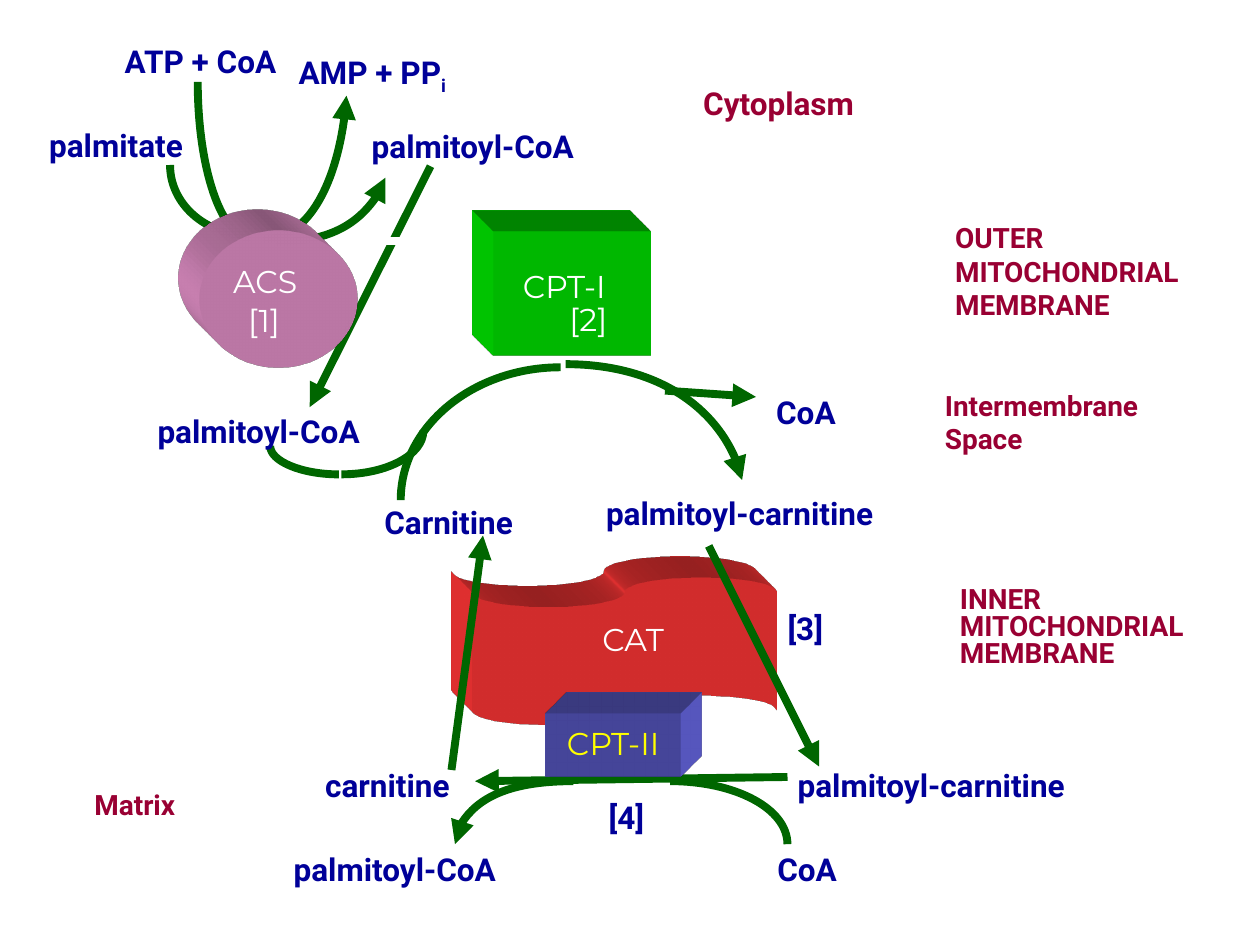
from dataclasses import dataclass

from lxml import etree
from pptx import Presentation
from pptx import util as u
from pptx.dml import color
from pptx.enum import shapes, text
from pptx.oxml import ns, parse_xml

Point = tuple[float, float]
NAVY, MAROON, GREEN, WHITE = "000099", "990033", "006600", "FFFFFF"
LINE_WIDTH = 4.5


@dataclass
class Label:
    text: str
    left: float
    top: float
    width: float
    color: str = NAVY
    size: float = 18
    font: str = "Roboto"
    bold: bool = True
    height: float = 21.6
    spacing: float = 1.0
    subscript: str = ""


@dataclass
class Straight:
    start: Point
    end: Point
    color: str = GREEN
    arrow: bool = True


@dataclass
class Curve:
    """Cubic curve: start, two controls, end; an arrow points at the end."""
    points: list[Point]
    arrow: bool = False


@dataclass
class Solid:
    preset: shapes.MSO_SHAPE
    left: float
    top: float
    width: float
    height: float
    color: str
    camera: str = "legacyObliqueTopLeft"


def enzyme_label(name: str, left: float, top: float, width: float,
                 hex_color: str = WHITE) -> Label:
    return Label(name, left, top, width, hex_color, font="Montserrat", bold=False)


def region_label(name: str, left: float, top: float, width: float,
                 height: float, spacing: float = 1.0) -> Label:
    return Label(name, left, top, width, MAROON, 16, height=height, spacing=spacing)


CARRIER = Solid(shapes.MSO_SHAPE.FLOWCHART_PUNCHED_TAPE, 270, 330, 174, 84, "FF3737")
ENZYMES = [
    Solid(shapes.MSO_SHAPE.RECTANGLE, 282, 132, 90, 71, "00E000"),
    Solid(shapes.MSO_SHAPE.OVAL, 114, 132, 90, 78, "E391C8"),
    Solid(shapes.MSO_SHAPE.RECTANGLE, 312, 408, 77, 36, "6262D8", "legacyObliqueTopRight"),
]

STRAIGHTS = [
    Straight((246, 95), (177, 232.6)),
    Straight((102, 137.5), (525.6, 137.5), WHITE, False),  # outer membrane edge
    Straight((380, 223.2), (432, 226.8)),
    Straight((258, 440), (276, 306)),
    Straight((405, 312), (468, 438)),
    Straight((450, 444), (271.5, 446.4)),
]

CURVES = [
    # CPT-I reaction
    Curve([(323.3, 208.1), (373, 208.1), (416.2, 236.2), (424.1, 274.3)], True),
    Curve([(229, 285.8), (229, 244.1), (270, 209.9), (320.4, 209.9)]),
    Curve([(241.9, 246.2), (241.9, 260), (221, 271.1), (195.1, 271.1)]),
    Curve([(193.7, 271.1), (172.1, 271.1), (154.4, 263.5), (154.4, 254.9)]),
    # ACS reaction
    Curve([(157.7, 138.2), (188, 138.2), (213.8, 123.1), (220.3, 101.5)], True),
    Curve([(150.5, 136.8), (175, 136.8), (195.1, 101.5), (198, 54.7)], True),
    Curve([(143.3, 134.6), (117.4, 134.6), (97.2, 116.6), (97.2, 94.3)]),
    Curve([(143.3, 136.1), (126.7, 136.1), (113, 96.5), (113, 46.8)]),
    # CPT-II reaction
    Curve([(383, 446.4), (420.5, 446.4), (450, 462.2), (450, 482.4)]),
    Curve([(327.6, 446.4), (290.2, 446.4), (260, 462.2), (260, 482.4)], True),
]

LABELS = [
    # Compartments
    region_label("Intermembrane\nSpace", 540, 221.8, 116, 38.4),
    region_label("OUTER\nMITOCHONDRIAL\nMEMBRANE", 545.8, 126, 136, 57.6),
    region_label("INNER\nMITOCHONDRIAL\nMEMBRANE", 548.6, 336.2, 136, 46, 0.8),
    region_label("Matrix", 54, 450, 47.5, 19.2),
    Label("Cytoplasm", 401.8, 48.2, 92.2, MAROON),
    # Metabolites
    Label("ATP + CoA", 71.3, 23.8, 93.6),
    Label("AMP + PP", 170.6, 30.2, 87.8, subscript="i"),
    Label("palmitate", 28.1, 72, 79.9),
    Label("palmitoyl-CoA", 212.4, 72.7, 121.7),
    Label("palmitoyl-CoA", 90, 235.4, 121.7),
    Label("palmitoyl-CoA", 167.8, 486, 121.7),
    Label("palmitoyl-carnitine", 346.3, 282.2, 159.8),
    Label("palmitoyl-carnitine", 455.8, 437.8, 159.8),
    Label("CoA", 443.5, 224.6, 36.7),
    Label("CoA", 444.2, 486, 36.7),
    Label("Carnitine", 219.6, 287.3, 78.5),
    Label("carnitine", 185.8, 437.8, 74.9),
    Label("[3]", 450, 347.8, 22.3),
    Label("[4]", 347.8, 455.8, 22.3),
    # Enzymes
    enzyme_label("CAT", 344.2, 354.2, 41),
    enzyme_label("CPT-I", 298.8, 152.6, 57.6),
    enzyme_label("[2]", 325.4, 171.4, 25.9),
    enzyme_label("ACS", 133.2, 149.8, 41),
    enzyme_label("[1]", 141.8, 172.1, 25.9),
    enzyme_label("CPT-II", 324, 414, 59.8, "FFFF00"),
]


def rgb(hex_color: str) -> color.RGBColor:
    return color.RGBColor.from_string(hex_color)


def style_line(shape, hex_color: str, arrow: bool) -> None:
    shape.line.color.rgb = rgb(hex_color)
    shape.line.width = u.Pt(LINE_WIDTH)
    if arrow:
        etree.SubElement(shape.line._get_or_add_ln(), ns.qn("a:tailEnd"), type="triangle")


def draw_straight(slide, item: Straight) -> None:
    ends = [u.Pt(value) for value in (*item.start, *item.end)]
    connector = slide.shapes.add_connector(shapes.MSO_CONNECTOR.STRAIGHT, *ends)
    style_line(connector, item.color, item.arrow)
    etree.SubElement(connector._element.spPr, ns.qn("a:effectLst"))


def draw_curve(slide, item: Curve) -> None:
    start, *others = [(u.Pt(x), u.Pt(y)) for x, y in item.points]
    builder = slide.shapes.build_freeform(*start)
    builder.add_line_segments(others, close=False)
    shape = builder.convert_to_shape()
    # Turn the three segments into one cubic curve
    segments = shape._element.xpath(".//a:lnTo")
    outline = segments[0].getparent()
    cubic = etree.SubElement(outline, ns.qn("a:cubicBezTo"))
    for segment in segments:
        cubic.append(segment[0])
        outline.remove(segment)
    shape.fill.background()
    style_line(shape, GREEN, item.arrow)
    shape.shadow.inherit = False


def draw_solid(slide, item: Solid) -> None:
    box = [u.Pt(value) for value in (item.left, item.top, item.width, item.height)]
    shape = slide.shapes.add_shape(item.preset, *box)
    shape.fill.solid()
    shape.fill.fore_color.rgb = rgb(item.color)
    shape.line.fill.background()
    shape.shadow.inherit = False
    # Oblique extrusion
    depth = u.Pt(33.87)
    for xml in (
        f'<a:scene3d {ns.nsdecls("a")}><a:camera prst="{item.camera}"/>'
        '<a:lightRig rig="legacyFlat3" dir="b"/></a:scene3d>',
        f'<a:sp3d {ns.nsdecls("a")} extrusionH="{depth}" prstMaterial="legacyMatte">'
        f'<a:extrusionClr><a:srgbClr val="{item.color}"/></a:extrusionClr></a:sp3d>',
    ):
        shape._element.spPr.append(parse_xml(xml))


def draw_label(slide, item: Label) -> None:
    box = [u.Pt(value) for value in (item.left, item.top, item.width, item.height)]
    frame = slide.shapes.add_textbox(*box).text_frame
    frame.margin_left = frame.margin_right = frame.margin_top = frame.margin_bottom = 0
    frame.word_wrap = False
    frame.auto_size = text.MSO_AUTO_SIZE.SHAPE_TO_FIT_TEXT
    frame.text = item.text
    if item.subscript:
        run = frame.paragraphs[0].add_run()
        run.text = item.subscript
        run._r.get_or_add_rPr().set("baseline", "-25000")
    for paragraph in frame.paragraphs:
        if item.spacing != 1:
            paragraph.line_spacing = item.spacing
        for run in paragraph.runs:
            run.font.name, run.font.size = item.font, u.Pt(item.size)
            run.font.bold = item.bold
            run.font.color.rgb = rgb(item.color)


def main() -> None:
    presentation = Presentation()
    presentation.slide_width, presentation.slide_height = u.Pt(720), u.Pt(540)
    slide = presentation.slides.add_slide(presentation.slide_layouts[6])
    draw_solid(slide, CARRIER)
    for draw, items in ((draw_straight, STRAIGHTS), (draw_curve, CURVES),
                        (draw_solid, ENZYMES), (draw_label, LABELS)):
        for item in items:
            draw(slide, item)
    presentation.save("out.pptx")


if __name__ == "__main__":
    main()
